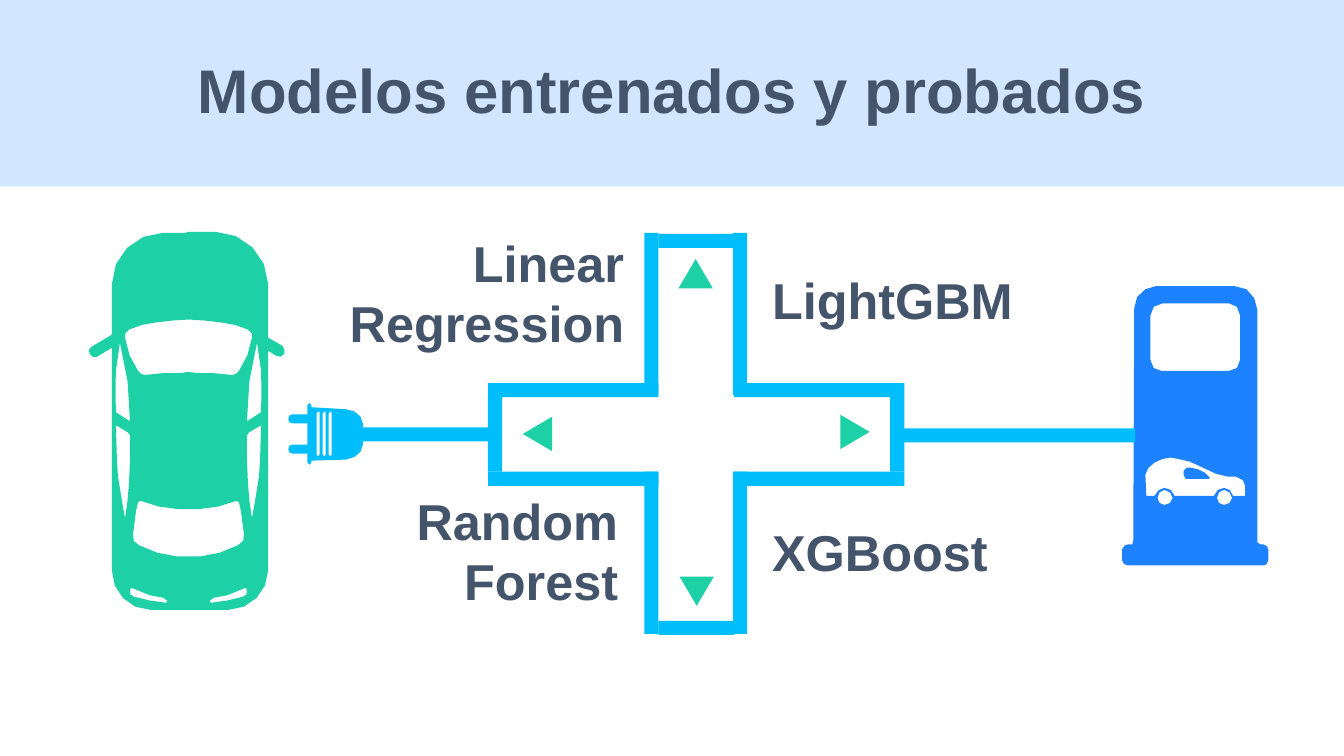
import math

from pptx import Presentation
from pptx.dml.color import RGBColor
from pptx.enum import shapes as es, text as et
from pptx.util import Inches, Pt

SKY, MINT, BLUE, PALE, INK = "00BDFB", "1ED0A6", "1C82FF", "D2E6FF", "44546A"

# Each outline is a start point, then parts split by "|":
# one point is a straight line, three points are a curve.
PUMP = [
    "11.61 4.54|11.56 4.54 11.5 4.56 11.45 4.59|11.4 4.62 11.37 4.66 11.36 4.71"
    "|11.35 4.78 11.36 4.85 11.37 4.92|11.45 4.92"
    "|11.47 4.87 11.51 4.84 11.55 4.84|11.6 4.84 11.63 4.87 11.65 4.92"
    "|12.04 4.92|12.06 4.87 12.09 4.84 12.14 4.84"
    "|12.18 4.84 12.22 4.87 12.23 4.92|12.35 4.92"
    "|12.36 4.88 12.36 4.85 12.35 4.82|12.35 4.78 12.32 4.74 12.26 4.73"
    "|12.18 4.73|12.14 4.73 12.1 4.72 12.06 4.7"
    "|11.91 4.63|11.84 4.59 11.76 4.56 11.67 4.55",
    "11.81 4.64|11.86 4.64 11.92 4.67 11.95 4.69|11.97 4.7 11.99 4.72 12 4.74"
    "|11.99 4.75|11.76 4.75|11.74 4.72 11.73 4.7 11.74 4.67|11.77 4.64",
    "11.53 3.01|11.46 3.01 11.41 3.06 11.41 3.13|11.41 3.57"
    "|11.41 3.64 11.46 3.68 11.52 3.68|12.19 3.68|12.25 3.68 12.3 3.64 12.3 3.57"
    "|12.3 3.13|12.3 3.06 12.25 3.01 12.19 3.01",
    "11.46 2.84|12.25 2.84|12.34 2.84 12.4 2.88 12.44 2.96"
    "|12.46 2.99 12.47 3.03 12.47 3.07|12.47 5.38|12.5 5.4"
    "|12.53 5.4|12.56 5.4 12.58 5.43 12.58 5.46|12.58 5.56"
    "|12.57 5.6 12.55 5.61 12.53 5.61|11.19 5.61|11.15 5.61 11.14 5.59 11.13 5.56"
    "|11.13 5.45|11.14 5.42 11.16 5.4 11.19 5.4|11.23 5.4"
    "|11.24 5.36|11.25 3.06|11.25 2.97 11.29 2.91 11.36 2.87"
    "|11.39 2.85 11.43 2.84 11.46 2.84",
]
WHEEL = ("11.55 4.86|11.51 4.86 11.48 4.9 11.48 4.94|11.48 4.98 11.51 5.01 11.55 5.01"
         "|11.59 5.01 11.63 4.98 11.63 4.94|11.63 4.9 11.59 4.86 11.55 4.86")
AXLE = 0.59

PLUG = [
    "3.07 4|3.09 4.02|3.09 4.04|3.43 4.06|3.52 4.06 3.6 4.13 3.6 4.2"
    "|3.6 4.41|3.6 4.49 3.52 4.55 3.43 4.56|3.09 4.57|3.09 4.59"
    "|3.07 4.61|3.05 4.59|3.05 4.02",
]
PRONG = "2.9 4.11|3.05 4.11|3.05 4.2|2.9 4.2|2.87 4.2 2.86 4.18 2.86 4.16|2.86 4.13 2.87 4.11 2.9 4.11"
SLOT = "3.16 4.08|3.14 4.1|3.14 4.51|3.16 4.53|3.17 4.51|3.17 4.09"

BODY = ("1.85 2.3|2.14 2.3|2.42 2.3 2.66 2.54 2.66 2.82|2.66 3.35|2.8 3.43"
        "|2.82 3.45 2.83 3.48 2.82 3.51|2.8 3.54 2.77 3.55 2.74 3.53|2.66 3.48|2.66 5.66"
        "|2.66 5.87 2.48 6.05 2.27 6.05|1.49 6.05|1.28 6.05 1.11 5.87 1.11 5.66|1.11 3.45"
        "|0.96 3.54|0.94 3.55 0.9 3.54 0.89 3.51|0.87 3.49 0.88 3.45 0.91 3.44|1.11 3.32"
        "|1.11 2.82|1.11 2.54 1.34 2.31 1.62 2.31|1.85 2.31")
SIDES = [
    "1.3 5.83|1.29 5.86|1.29 5.89 1.29 5.91 1.33 5.92"
    "|1.44 5.95 1.53 5.97 1.65 5.98|1.66 5.96"
    "|1.62 5.93|1.51 5.92 1.46 5.9 1.35 5.85",
    "1.15 4.22|1.16 4.55|1.17 4.72|1.21 4.97|1.24 5.14"
    "|1.26 5.05 1.27 4.93 1.28 4.8|1.29 4.56|1.29 4.32|1.27 4.29|1.17 4.23",
    "1.19 3.4|1.17 3.5 1.16 3.58 1.15 3.68|1.15 3.81 1.14 3.93 1.15 4.09"
    "|1.29 4.18|1.28 3.9 1.27 3.66 1.19 3.4",
]
PANES = [
    "1.87 3.17|1.71 3.18|1.54 3.2|1.45 3.21 1.36 3.23 1.28 3.27"
    "|1.25 3.29 1.23 3.32 1.24 3.35|1.26 3.47 1.3 3.59 1.37 3.68"
    "|1.39 3.71 1.41 3.72 1.44 3.72|1.56 3.7 1.67 3.7 1.79 3.7|1.87 3.69",
    "1.87 5.05|1.76 5.05|1.63 5.04 1.51 5.02 1.4 4.97|1.37 4.98"
    "|1.35 5.07|1.32 5.3"
    "|1.31 5.35 1.33 5.39 1.38 5.41|1.5 5.47 1.62 5.51 1.75 5.52|1.87 5.52",
]
AXIS = 1.87

BAR = 0.14
CABLES = [(8.96, 4.25, 2.3, BAR), (3.58, 4.24, 1.31, BAR)]
CAPS = [(6.53, 2.32, 0.74, BAR), (6.53, 6.16, 0.75, BAR),
        (4.84, 3.94, BAR, 0.74), (8.83, 3.94, BAR, 0.74)]
ARROWS = [(6.73, 2.57, 0), (8.31, 4.14, 90), (6.74, 5.72, 180), (5.16, 4.16, 270)]

LEFT, MID, RIGHT = et.PP_ALIGN.LEFT, et.PP_ALIGN.CENTER, et.PP_ALIGN.RIGHT
TITLE = ("Modelos entrenados y probados", (0.34, 0.54, 12.66, 0.77), 44, MID)
LABELS = [
    ("Linear Regression", (3.06, 2.25, 3.23, 1.31), 36, RIGHT),
    ("Random\nForest", (3, 4.81, 3.23, 1.31), 36, RIGHT),
    ("LightGBM", (7.56, 2.62, 3.23, 0.71), 36, LEFT),
    ("XGBoost", (7.56, 5.12, 3.23, 0.71), 36, LEFT),
]

deck = Presentation()
deck.slide_width, deck.slide_height = Inches(13.33), Inches(7.5)
slide = deck.slides.add_slide(deck.slide_layouts[6])


def paint(shape, color):
    shape.shadow.inherit = False
    shape.fill.solid()
    shape.fill.fore_color.rgb = RGBColor.from_string(color)
    shape.line.fill.background()


def block(box, color, kind=es.MSO_SHAPE.RECTANGLE, turn=0):
    shape = slide.shapes.add_shape(kind, *map(Inches, box))
    shape.rotation = turn
    paint(shape, color)


def trace(line, slack=0.01):
    """Turn an outline into points, with more steps where a curve bends more."""
    dots = []
    for part in line.split("|"):
        nums = [float(n) for n in part.split()]
        ends = list(zip(nums[::2], nums[1::2]))
        if len(ends) == 1:
            dots += ends
            continue
        a, b, c, d = knots = [dots[-1]] + ends
        bend = max(math.dist(b, [(2 * p + q) / 3 for p, q in zip(a, d)]),
                   math.dist(c, [(p + 2 * q) / 3 for p, q in zip(a, d)]))
        steps = max(1, math.ceil(math.sqrt(0.75 * bend / slack)))
        for i in range(1, steps + 1):
            t = i / steps
            mix = ((1 - t) ** 3, 3 * t * (1 - t) ** 2, 3 * t * t * (1 - t), t ** 3)
            dots.append(tuple(sum(m * k[n] for m, k in zip(mix, knots)) for n in (0, 1)))
    return dots


def move(dots, dx=0, dy=0):
    return [(x + dx, y + dy) for x, y in dots]


def flip(dots):
    return [(2 * AXIS - x, y) for x, y in reversed(dots)]


def draw(loops, color):
    """Draw closed loops as one shape; inner loops become holes."""
    pen = None
    for loop in loops:
        spots = [(Inches(x), Inches(y)) for x, y in loop]
        if pen is None:
            pen = slide.shapes.build_freeform(*spots[0], scale=1.0)
        else:
            pen.move_to(*spots[0])
        pen.add_line_segments(spots[1:], close=True)
    paint(pen.convert_to_shape(), color)


def label(words, box, size, align, anchor=et.MSO_ANCHOR.TOP, **gaps):
    frame = slide.shapes.add_textbox(*map(Inches, box)).text_frame
    look = {"word_wrap": True, "auto_size": et.MSO_AUTO_SIZE.SHAPE_TO_FIT_TEXT,
            "vertical_anchor": anchor, "text": words}
    for key, val in look.items():
        setattr(frame, key, val)
    for para in frame.paragraphs:
        for key, val in {"alignment": align, **gaps}.items():
            setattr(para, key, val)
        font = para.runs[0].font
        for key, val in {"name": "Arial", "size": Pt(size), "bold": True}.items():
            setattr(font, key, val)
        font.color.rgb = RGBColor.from_string(INK)


wheel = trace(WHEEL)
draw([trace(p) for p in PUMP] + [wheel, move(wheel, AXLE)], BLUE)

for box in CABLES + CAPS:
    block(box, SKY)
for x in (6.39, 7.27):
    for y in (2.31, 4.68):
        block((x, y, BAR, 1.61), SKY)
for x in (4.84, 7.28):
    for y in (3.8, 4.68):
        block((x, y, 1.69, BAR), SKY)
for x, y, turn in ARROWS:
    block((x, y, 0.34, 0.29), MINT, es.MSO_SHAPE.ISOSCELES_TRIANGLE, turn)

prong, slot = trace(PRONG), trace(SLOT)
draw([trace(p) for p in PLUG] + [move(prong, dy=0.3 * i) for i in range(2)]
     + [move(slot, 0.06 * i) for i in range(3)], SKY)

sides = [trace(p) for p in SIDES]
panes = [trace(p) for p in PANES]
draw([trace(BODY)] + sides + [flip(s) for s in sides] + [p + flip(p) for p in panes], MINT)

block((0, 0, 13.33, 1.85), PALE)
label(*TITLE, et.MSO_ANCHOR.MIDDLE, line_spacing=0.9, space_before=Pt(10))
for item in LABELS:
    label(*item)

deck.save("out.pptx")
